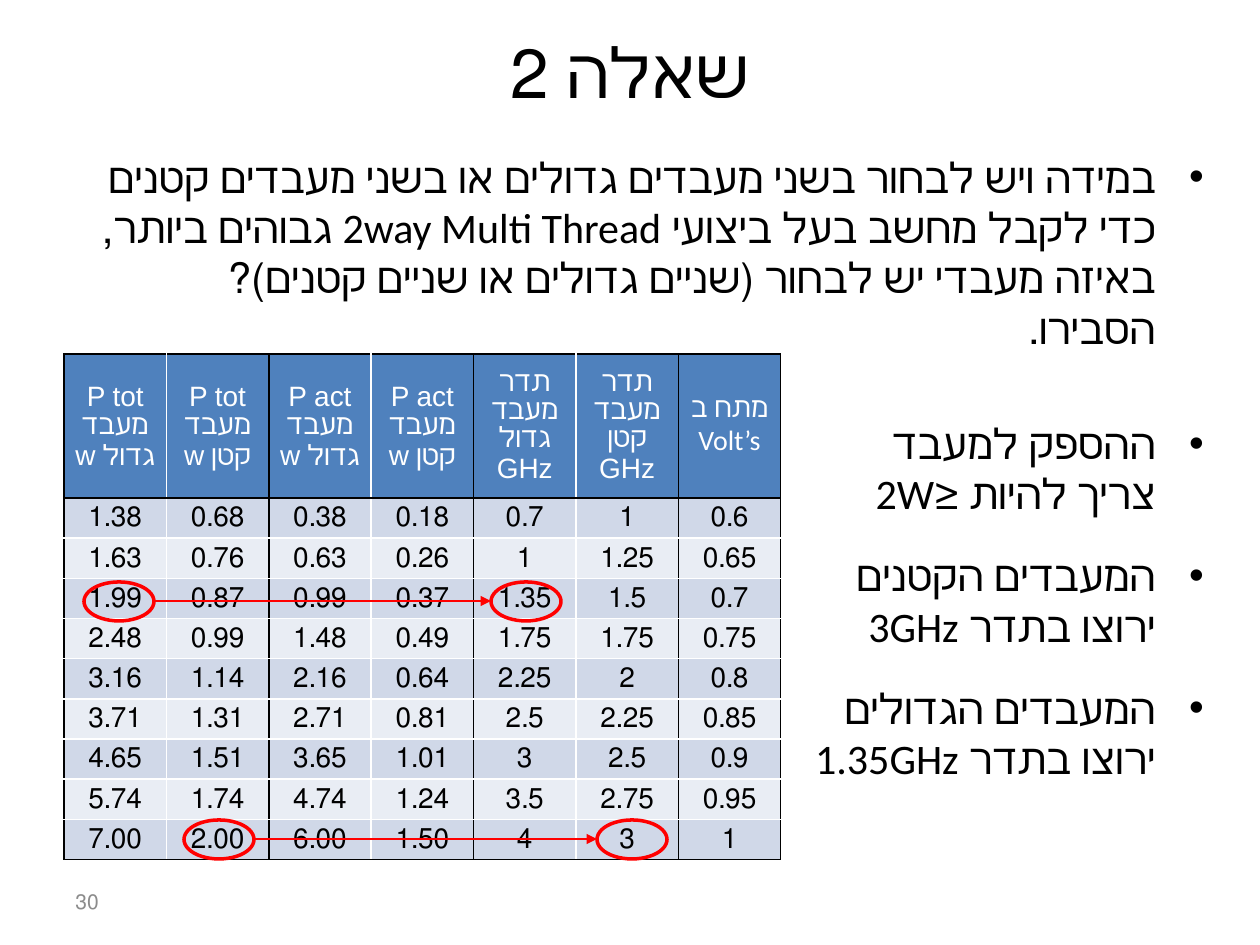
from dataclasses import dataclass
from typing import NamedTuple

from lxml.etree import SubElement
from pptx import Presentation
from pptx.dml.color import RGBColor
from pptx.enum.shapes import MSO_CONNECTOR as Connector, MSO_SHAPE as Shape
from pptx.enum.text import MSO_ANCHOR as Anchor, PP_ALIGN as Align
from pptx.oxml.ns import qn
from pptx.util import Emu, Pt

PX_PER_INCH = 126


def px(length: int) -> Emu:
    return Emu(round(length * 914400 / PX_PER_INCH))


@dataclass(frozen=True)
class Theme:
    black: str = "000000"
    white: str = "FFFFFF"
    gray: str = "8C8C8C"
    header: str = "4F81BD"
    bands: tuple[str, str] = ("D0D8E8", "E9EDF4")
    mark: str = "FF0000"
    text_font: str = "Calibri"
    table_font: str = "Arial"
    title_size: float = 39.6
    body_size: float = 24
    table_size: float = 16
    number_size: float = 12


class Box(NamedTuple):
    left: int
    top: int
    width: int
    height: int

    def emu(self) -> list[Emu]:
        return [px(length) for length in self]


class Bullet(NamedTuple):
    text: str
    space_before: float


class Link(NamedTuple):
    """Two circled values in one table row, joined by an arrow."""
    start: int
    end: int
    top: int


THEME = Theme()
CIRCLE_WIDTH, CIRCLE_HEIGHT = 70, 39
BULLET_INDENT = 48
TABLE_BOX = Box(64, 354, 717, 506)
HEADER_HEIGHT = 144

BULLETS = [
    Bullet("במידה ויש לבחור בשני מעבדים גדולים או בשני מעבדים קטנים כדי לקבל "
           "מחשב בעל ביצועי 2way Multi Thread גבוהים ביותר, באיזה מעבדי יש לבחור "
           "(שניים גדולים או שניים קטנים)? הסבירו.", 0),
    Bullet("ההספק למעבד\vצריך להיות ≤2W", 37),
    Bullet("המעבדים הקטנים\vירוצו בתדר 3GHz", 18),
    Bullet("המעבדים הגדולים\vירוצו בתדר 1.35GHz", 18),
]
HEADERS = ["P tot מעבד גדול w", "P tot מעבד קטן w", "P act מעבד גדול w",
           "P act מעבד קטן w", "תדר מעבד גדול GHz", "תדר מעבד קטן GHz", "מתח ב "]
VOLTAGE_UNIT = "Volt’s"
READINGS = [
    ["1.38", "0.68", "0.38", "0.18", "0.7", "1", "0.6"],
    ["1.63", "0.76", "0.63", "0.26", "1", "1.25", "0.65"],
    ["1.99", "0.87", "0.99", "0.37", "1.35", "1.5", "0.7"],
    ["2.48", "0.99", "1.48", "0.49", "1.75", "1.75", "0.75"],
    ["3.16", "1.14", "2.16", "0.64", "2.25", "2", "0.8"],
    ["3.71", "1.31", "2.71", "0.81", "2.5", "2.25", "0.85"],
    ["4.65", "1.51", "3.65", "1.01", "3", "2.5", "0.9"],
    ["5.74", "1.74", "4.74", "1.24", "3.5", "2.75", "0.95"],
    ["7.00", "2.00", "6.00", "1.50", "4", "3", "1"],
]
LINKS = [Link(184, 597, 820), Link(84, 491, 582)]


def rgb(color: str) -> RGBColor:
    return RGBColor.from_string(color)


def format_rtl(paragraph, align: Align, font: str, size: float, color: str) -> None:
    paragraph.alignment = align
    paragraph._p.get_or_add_pPr().set("rtl", "1")
    paragraph.font.name = font
    paragraph.font.size = Pt(size)
    paragraph.font.color.rgb = rgb(color)


def add_title(slide, text: str) -> None:
    title = slide.shapes.title
    title.left, title.top, title.width, title.height = Box(63, 32, 1134, 78).emu()
    title.text_frame.text = text
    title.text_frame.vertical_anchor = Anchor.MIDDLE
    format_rtl(title.text_frame.paragraphs[0], Align.CENTER, THEME.text_font,
               THEME.title_size, THEME.black)


def add_bullets(slide, box: Box, bullets: list[Bullet]) -> None:
    frame = slide.shapes.add_textbox(*box.emu()).text_frame
    frame.word_wrap = True
    for index, bullet in enumerate(bullets):
        paragraph = frame.add_paragraph() if index else frame.paragraphs[0]
        paragraph.text = bullet.text
        paragraph.space_before = Pt(bullet.space_before)
        props = paragraph._p.get_or_add_pPr()
        props.set("marL", str(px(BULLET_INDENT)))
        props.set("indent", str(-px(BULLET_INDENT)))
        SubElement(props, qn("a:buFont"), typeface="Arial")
        SubElement(props, qn("a:buChar"), char="•")
        format_rtl(paragraph, Align.RIGHT, THEME.text_font, THEME.body_size, THEME.black)


def add_page_number(slide, box: Box, number: str) -> None:
    frame = slide.shapes.add_textbox(*box.emu()).text_frame
    frame.word_wrap = True
    frame.vertical_anchor = Anchor.MIDDLE
    frame.text = number
    format_rtl(frame.paragraphs[0], Align.LEFT, THEME.text_font,
               THEME.number_size, THEME.gray)


def set_borders(cell, colors: dict[str, str]) -> None:
    """Draw one-point borders; they must precede the cell's fill in the XML."""
    props = cell._tc.get_or_add_tcPr()
    for side, color in colors.items():
        line = SubElement(props, qn(f"a:{side}"), w=str(Pt(1)))
        SubElement(SubElement(line, qn("a:solidFill")), qn("a:srgbClr"), val=color)


def add_readings_table(slide) -> None:
    rows = [HEADERS, *READINGS]
    row_count, column_count = len(rows), len(HEADERS)
    table = slide.shapes.add_table(row_count, column_count, *TABLE_BOX.emu()).table
    table.first_row = table.horz_banding = False
    for column in table.columns:
        column.width = px(TABLE_BOX.width) // column_count
    for row in table.rows:
        row.height = px(TABLE_BOX.height - HEADER_HEIGHT) // len(READINGS)
    table.rows[0].height = px(HEADER_HEIGHT)

    # Black rules frame the table, its header and each pair of columns.
    across = [THEME.black if edge in (0, 1, row_count) else THEME.white
              for edge in range(row_count + 1)]
    down = [THEME.black if edge % 2 == 0 or edge == column_count else THEME.white
            for edge in range(column_count + 1)]
    for r, texts in enumerate(rows):
        for c, text in enumerate(texts):
            cell = table.cell(r, c)
            cell.margin_left = cell.margin_right = cell.margin_top = px(1)
            cell.margin_bottom = 0
            cell.vertical_anchor = Anchor.MIDDLE
            set_borders(cell, {"lnL": down[c], "lnR": down[c + 1],
                               "lnT": across[r], "lnB": across[r + 1]})
            cell.fill.solid()
            cell.fill.fore_color.rgb = rgb(THEME.bands[(r - 1) % 2] if r else THEME.header)
            cell.text = text
            format_rtl(cell.text_frame.paragraphs[0], Align.CENTER, THEME.table_font,
                       THEME.table_size, THEME.black if r else THEME.white)
    unit = table.cell(0, column_count - 1).text_frame.paragraphs[0].add_run()
    unit.text = VOLTAGE_UNIT
    unit.font.name = THEME.text_font


def add_link(slide, link: Link) -> None:
    group = slide.shapes.add_group_shape()
    for left in (link.start, link.end):
        circle = group.shapes.add_shape(
            Shape.OVAL, *Box(left, link.top, CIRCLE_WIDTH, CIRCLE_HEIGHT).emu())
        circle.shadow.inherit = False
        circle.fill.background()
        circle.line.color.rgb = rgb(THEME.mark)
        circle.line.width = Pt(2)
    middle = px(link.top + CIRCLE_HEIGHT // 2)
    arrow = group.shapes.add_connector(Connector.STRAIGHT, px(link.start + CIRCLE_WIDTH),
                                       middle, px(link.end), middle)
    arrow.line.color.rgb = rgb(THEME.mark)
    arrow.line.width = Pt(1.5)
    SubElement(arrow.line._get_or_add_ln(), qn("a:tailEnd"), type="triangle")
    SubElement(arrow._element.spPr, qn("a:effectLst"))


def main() -> None:
    deck = Presentation()
    deck.slide_width, deck.slide_height = px(1260), px(945)
    slide = deck.slides.add_slide(deck.slide_layouts[5])
    add_title(slide, "שאלה 2")
    add_bullets(slide, Box(82, 145, 1134, 679), BULLETS)
    add_page_number(slide, Box(63, 876, 294, 50), "30")
    add_readings_table(slide)
    for link in LINKS:
        add_link(slide, link)
    deck.save("out.pptx")


if __name__ == "__main__":
    main()
